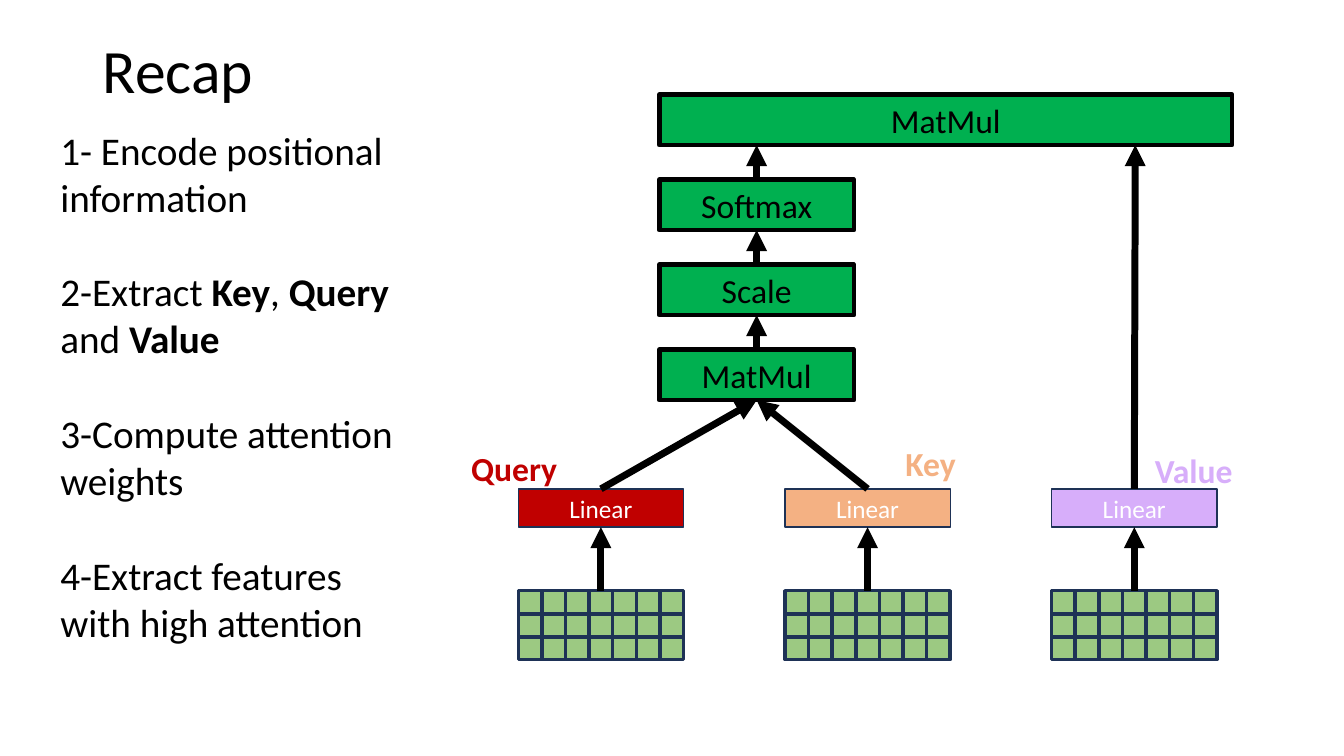
from lxml import etree
from pptx import Presentation
from pptx.dml.color import RGBColor
from pptx.enum.shapes import MSO_CONNECTOR, MSO_SHAPE
from pptx.enum.text import MSO_ANCHOR, PP_ALIGN
from pptx.oxml.ns import qn
from pptx.util import Inches, Pt

RECT, STRAIGHT = MSO_SHAPE.RECTANGLE, MSO_CONNECTOR.STRAIGHT
TOP, MIDDLE = MSO_ANCHOR.TOP, MSO_ANCHOR.MIDDLE
LEFT, CENTER = PP_ALIGN.LEFT, PP_ALIGN.CENTER

FONT = "Calibri"
COLORS = {
    "ink": "000000", "white": "FFFFFF", "navy": "1E3256",
    "token": "9CC982", "stage": "00B050",
    "query": "C00000", "key": "F4B183", "value": "D7AEFA",
}
TITLE = "Recap"
STEPS = [
    [("1- Encode positional information", False)],
    [("2-Extract ", False), ("Key", True), (", ", False), ("Query", True),
     (" and ", False), ("Value", True)],
    [("3-Compute attention weights", False)],
    [("4-Extract features with high attention", False)],
]
PROJECTIONS = [
    ("Query", "query", (4.28, 4.39, 1.64, 0.5)),
    ("Key", "key", (8.65, 4.34, 1.16, 0.5)),
    ("Value", "value", (11.26, 4.41, 1.16, 0.5)),
]
STAGES = ["MatMul", "Scale", "Softmax", "MatMul"]

STREAM_LEFT, STREAM_PITCH, STREAM_WIDTH = 5.14, 2.645, 1.64
TOKEN_COLUMNS, TOKEN_ROWS, TOKEN_TOP = 7, 3, 5.86
TOKEN = STREAM_WIDTH / TOKEN_COLUMNS
TOKEN_PITCH = 0.225
LINEAR_TOP, LINEAR_HEIGHT = 4.85, 0.38
STAGE_LEFT, STAGE_WIDTH, STAGE_HEIGHT = 6.54, 1.93, 0.5
FIRST_STAGE_TOP, LAST_STAGE_TOP, OUTPUT_WIDTH = 3.47, 0.94, 5.68


def write(frame, text, size=24, color="ink", bold=False, align=CENTER, anchor=TOP,
          gap=0, spacing=None):
    frame.word_wrap = True
    frame.vertical_anchor = anchor
    paragraphs = [[(text, bold)]] if isinstance(text, str) else text
    for index, runs in enumerate(paragraphs):
        paragraph = frame.add_paragraph() if index else frame.paragraphs[0]
        paragraph.alignment = align
        if index and gap:
            paragraph.space_before = Pt(gap)
        if spacing:
            paragraph.line_spacing = spacing
        for words, strong in runs:
            run = paragraph.add_run()
            run.text = words
            run.font.name = FONT
            run.font.size = Pt(size)
            run.font.bold = strong
            run.font.color.rgb = RGBColor.from_string(COLORS[color])


def label(slide, place, text, **style):
    box = slide.shapes.add_textbox(*map(Inches, place))
    write(box.text_frame, text, **style)


def block(shapes, place, fill, line, weight):
    rect = shapes.add_shape(RECT, *map(Inches, place))
    rect.shadow.inherit = False
    rect.fill.solid()
    rect.fill.fore_color.rgb = RGBColor.from_string(COLORS[fill])
    rect.line.color.rgb = RGBColor.from_string(COLORS[line])
    rect.line.width = Pt(weight)
    return rect


def arrow(slide, start, end):
    link = slide.shapes.add_connector(STRAIGHT, *map(Inches, start + end))
    link.line.color.rgb = RGBColor.from_string(COLORS["ink"])
    link.line.width = Pt(5)
    etree.SubElement(link.line._get_or_add_ln(), qn("a:tailEnd"), type="triangle")
    etree.SubElement(link._element.spPr, qn("a:effectLst"))


def token_grid(slide, left):
    grid = slide.shapes.add_group_shape()
    for column in range(TOKEN_COLUMNS):
        for row in reversed(range(TOKEN_ROWS)):
            place = (left + column * TOKEN, TOKEN_TOP + row * TOKEN_PITCH, TOKEN, TOKEN)
            block(grid.shapes, place, "token", "navy", 2.5)


def main():
    deck = Presentation()
    deck.slide_width, deck.slide_height = Inches(13.33), Inches(7.5)
    slide = deck.slides.add_slide(deck.slide_layouts[6])

    label(slide, (0.92, 0, 11.5, 1.45), TITLE, size=44, align=LEFT, anchor=MIDDLE,
          spacing=0.9)

    centers = []
    for index, (name, color, place) in enumerate(PROJECTIONS):
        left = STREAM_LEFT + index * STREAM_PITCH
        center = left + STREAM_WIDTH / 2
        centers.append(center)
        token_grid(slide, left)
        linear = block(slide.shapes, (left, LINEAR_TOP, STREAM_WIDTH, LINEAR_HEIGHT),
                       color, "navy", 1)
        write(linear.text_frame, "Linear", size=18, color="white", anchor=MIDDLE)
        arrow(slide, (center, TOKEN_TOP), (center, LINEAR_TOP + LINEAR_HEIGHT))
        label(slide, place, name, color=color, bold=True)

    last = len(STAGES) - 1
    pitch = (FIRST_STAGE_TOP - LAST_STAGE_TOP) / last
    tops = [FIRST_STAGE_TOP - index * pitch for index in range(len(STAGES))]
    for index, (name, top) in enumerate(zip(STAGES, tops)):
        width = OUTPUT_WIDTH if index == last else STAGE_WIDTH
        stage = block(slide.shapes, (STAGE_LEFT, top, width, STAGE_HEIGHT),
                      "stage", "ink", 3.25)
        write(stage.text_frame, name)

    middle = STAGE_LEFT + STAGE_WIDTH / 2
    query, key, value = centers
    for center in (query, key):
        arrow(slide, (center, LINEAR_TOP), (middle, FIRST_STAGE_TOP + STAGE_HEIGHT))
    for lower, upper in zip(tops, tops[1:]):
        arrow(slide, (middle, lower), (middle, upper + STAGE_HEIGHT))
    arrow(slide, (value, LINEAR_TOP), (value + 0.01, LAST_STAGE_TOP + STAGE_HEIGHT))

    label(slide, (0.5, 1.2, 3.54, 5.76), STEPS, size=28, align=LEFT, gap=34)
    deck.save("out.pptx")


if __name__ == "__main__":
    main()
